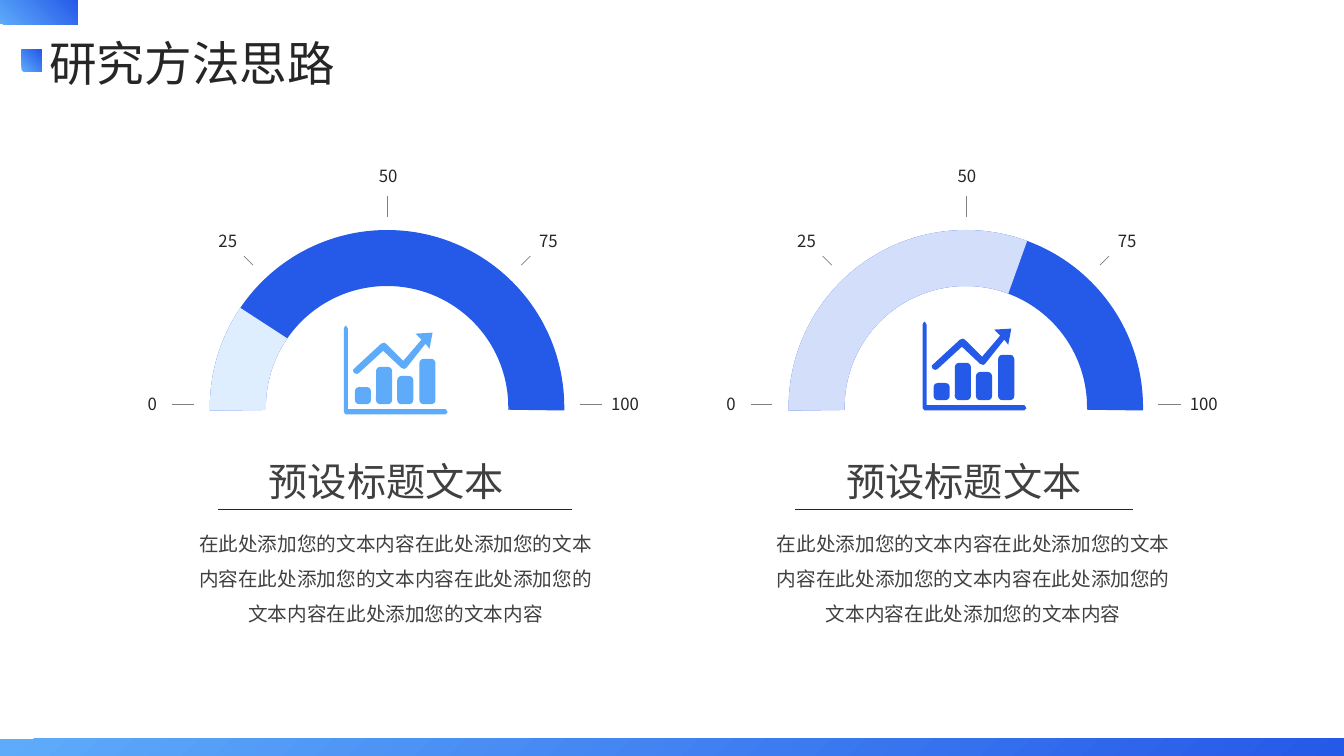
from dataclasses import dataclass

from lxml import etree
from pptx import Presentation
from pptx.dml.color import RGBColor
from pptx.enum.shapes import MSO_CONNECTOR, MSO_SHAPE
from pptx.enum.text import MSO_ANCHOR, PP_ALIGN as Align
from pptx.oxml.ns import qn
from pptx.util import Inches, Pt


@dataclass(frozen=True)
class Theme:
    font: str = "Noto Sans CJK SC"
    sky: str = "5EABFA"
    blue: str = "2559E8"
    pale_sky: str = "DFEEFE"
    pale_blue: str = "D3DEFA"
    ink: str = "262626"
    body: str = "404040"
    tick: str = "808080"
    title_size: int = 34
    heading_size: int = 28
    body_size: int = 14
    label_size: int = 12
    hairline: float = 0.5
    band: int = 40


THEME = Theme()

GAUGE_STEP = 5.74
TEXT_STEP = 5.73
GAUGE_CENTER = (3.84, 4.04)
GAUGE_RADIUS = 1.48
ARC_START, ARC_END = 178.79, 1.14

# Label, label centre, tick start and tick end, as offsets from the gauge centre
SCALE = [
    ("0", (-2.33, -0.03), (-2.13, -0.03), (-1.92, -0.03)),
    ("25", (-1.58, -1.65), (-1.42, -1.5), (-1.33, -1.41)),
    ("50", (0.01, -2.3), (0, -1.89), (0, -2.1)),
    ("75", (1.6, -1.65), (1.42, -1.5), (1.33, -1.41)),
    ("100", (2.36, -0.03), (1.91, -0.03), (2.13, -0.03)),
]

# Icon geometry, as offsets from the icon's top left corner
ICON_AXES = [(0.02, 0.88), (0, 0.86), (0, 0.03), (0.01, 0.01), (0.02, 0), (0.03, 0.01),
             (0.04, 0.03), (0.04, 0.83), (1.01, 0.83), (1.02, 0.84), (1.03, 0.86),
             (1.02, 0.87), (1.01, 0.88)]
ICON_TREND = [(0.88, 0.07), (0.71, 0.08), (0.77, 0.14), (0.59, 0.35), (0.42, 0.18),
              (0.4, 0.17), (0.37, 0.18), (0.11, 0.42), (0.09, 0.44), (0.1, 0.47),
              (0.13, 0.48), (0.15, 0.47), (0.39, 0.25), (0.57, 0.42), (0.6, 0.43),
              (0.62, 0.42), (0.81, 0.18), (0.85, 0.23)]
ICON_BARS = [(0.11, 0.61), (0.32, 0.41), (0.53, 0.5), (0.75, 0.33)]
BAR_WIDTH, BAR_BASE = 0.16, 0.78

HEADING = "预设标题文本"
DESCRIPTION = "在此处添加您的文本内容" * 5


def rgb(color):
    return RGBColor.from_string(color)


def write(frame, text, *, size, color, align=Align.CENTER, spacing=1.0, wrap=True):
    frame.word_wrap = wrap
    frame.vertical_anchor = MSO_ANCHOR.TOP
    frame.margin_left = frame.margin_right = Inches(0.1)
    frame.margin_top = frame.margin_bottom = Inches(0.05)
    paragraph = frame.paragraphs[0]
    paragraph.alignment = align
    paragraph.line_spacing = spacing
    run = paragraph.add_run()
    run.text = text
    run.font.size = Pt(size)
    run.font.name = THEME.font
    run.font.color.rgb = rgb(color)
    east_asian = etree.SubElement(run.font._element, qn("a:ea"))
    east_asian.set("typeface", THEME.font)


def add_text(slide, box, text, **style):
    frame = slide.shapes.add_textbox(*map(Inches, box)).text_frame
    write(frame, text, **style)


def add_line(slide, start, end, color):
    line = slide.shapes.add_connector(MSO_CONNECTOR.STRAIGHT, *map(Inches, (*start, *end)))
    line.line.color.rgb = rgb(color)
    line.line.width = Pt(THEME.hairline)
    etree.SubElement(line._element.spPr, qn("a:effectLst"))


def paint(shape, color):
    shape.shadow.inherit = False
    shape.fill.solid()
    shape.fill.fore_color.rgb = rgb(color)
    shape.line.fill.background()


def add_gradient_block(slide, box, rotation=0):
    block = slide.shapes.add_shape(MSO_SHAPE.RECTANGLE, *map(Inches, box))
    block.rotation = rotation
    block.shadow.inherit = False
    block.line.fill.background()
    block.fill.gradient()
    block.fill.gradient_angle = 315
    for stop, color in zip(block.fill.gradient_stops, (THEME.sky, THEME.blue)):
        stop.color.rgb = rgb(color)


def add_arc(slide, center, end_angle, color):
    x, y = center
    side = 2 * GAUGE_RADIUS
    box = (x - GAUGE_RADIUS, y - GAUGE_RADIUS, side, side)
    arc = slide.shapes.add_shape(MSO_SHAPE.ARC, *map(Inches, box))
    # One adjustment unit is 100000 / 60000 of a degree
    arc.adjustments[0] = ARC_START * 0.6
    arc.adjustments[1] = end_angle * 0.6
    arc.shadow.inherit = False
    arc.fill.background()
    arc.line.color.rgb = rgb(color)
    arc.line.width = Pt(THEME.band)


def add_outline(slide, origin, offsets, color):
    left, top = origin
    points = [(Inches(left + x), Inches(top + y)) for x, y in offsets]
    builder = slide.shapes.build_freeform(*points[0])
    builder.add_line_segments(points[1:], close=True)
    paint(builder.convert_to_shape(), color)


def add_icon(slide, origin, color):
    left, top = origin
    add_outline(slide, origin, ICON_AXES, color)
    for x, y in ICON_BARS:
        box = (left + x, top + y, BAR_WIDTH, BAR_BASE - y)
        bar = slide.shapes.add_shape(MSO_SHAPE.ROUNDED_RECTANGLE, *map(Inches, box))
        bar.adjustments[0] = 0.26
        paint(bar, color)
    add_outline(slide, origin, ICON_TREND, color)


def add_gauge(slide, center, value_angle, value_color):
    x, y = center
    for label, (label_x, label_y), start, end in SCALE:
        add_line(slide, (x + start[0], y + start[1]), (x + end[0], y + end[1]), THEME.tick)
        add_text(slide, (x + label_x - 0.25, y + label_y - 0.15, 0.5, 0.31), label,
                 size=THEME.label_size, color=THEME.ink, wrap=False)
    add_arc(slide, center, ARC_END, THEME.blue)
    add_arc(slide, center, value_angle, value_color)


def add_caption(slide, shift, rule_left, rule_right):
    add_text(slide, (1.79 + shift, 5.11, 4.27, 1.16), DESCRIPTION,
             size=THEME.body_size, color=THEME.body, spacing=1.5)
    add_text(slide, (2.04 + shift, 4.39, 3.58, 0.67), HEADING,
             size=THEME.heading_size, color=THEME.body, spacing=1.2)
    add_line(slide, (rule_left, 5.05), (rule_right, 5.05), THEME.ink)


def add_title(slide, text):
    title = slide.shapes.title
    title.left, title.top, title.width, title.height = map(Inches, (0.39, 0.29, 3.11, 0.67))
    write(title.text_frame, text, size=THEME.title_size, color=THEME.ink, align=Align.JUSTIFY)


def main():
    deck = Presentation()
    deck.slide_width, deck.slide_height = Inches(13.33), Inches(7.5)
    slide = deck.slides.add_slide(deck.slide_layouts[5])

    add_gradient_block(slide, (0.26, -0.27, 0.25, 0.77), rotation=270)
    add_gradient_block(slide, (0.21, 0.5, 0.21, 0.2), rotation=270)
    add_gradient_block(slide, (0, 7.33, 13.33, 0.21))
    add_title(slide, "研究方法思路")

    panels = [
        (214.29, THEME.pale_sky, THEME.sky, 3.23, (2.16, 5.67)),
        (290.34, THEME.pale_blue, THEME.blue, 3.19, (7.89, 11.24)),
    ]
    center_x, center_y = GAUGE_CENTER
    for column, (value_angle, value_color, icon_color, icon_top, rule) in enumerate(panels):
        gauge_x = center_x + column * GAUGE_STEP
        add_gauge(slide, (gauge_x, center_y), value_angle, value_color)
        add_caption(slide, column * TEXT_STEP, *rule)
        add_icon(slide, (gauge_x - 0.43, icon_top), icon_color)

    deck.save("out.pptx")


if __name__ == "__main__":
    main()
